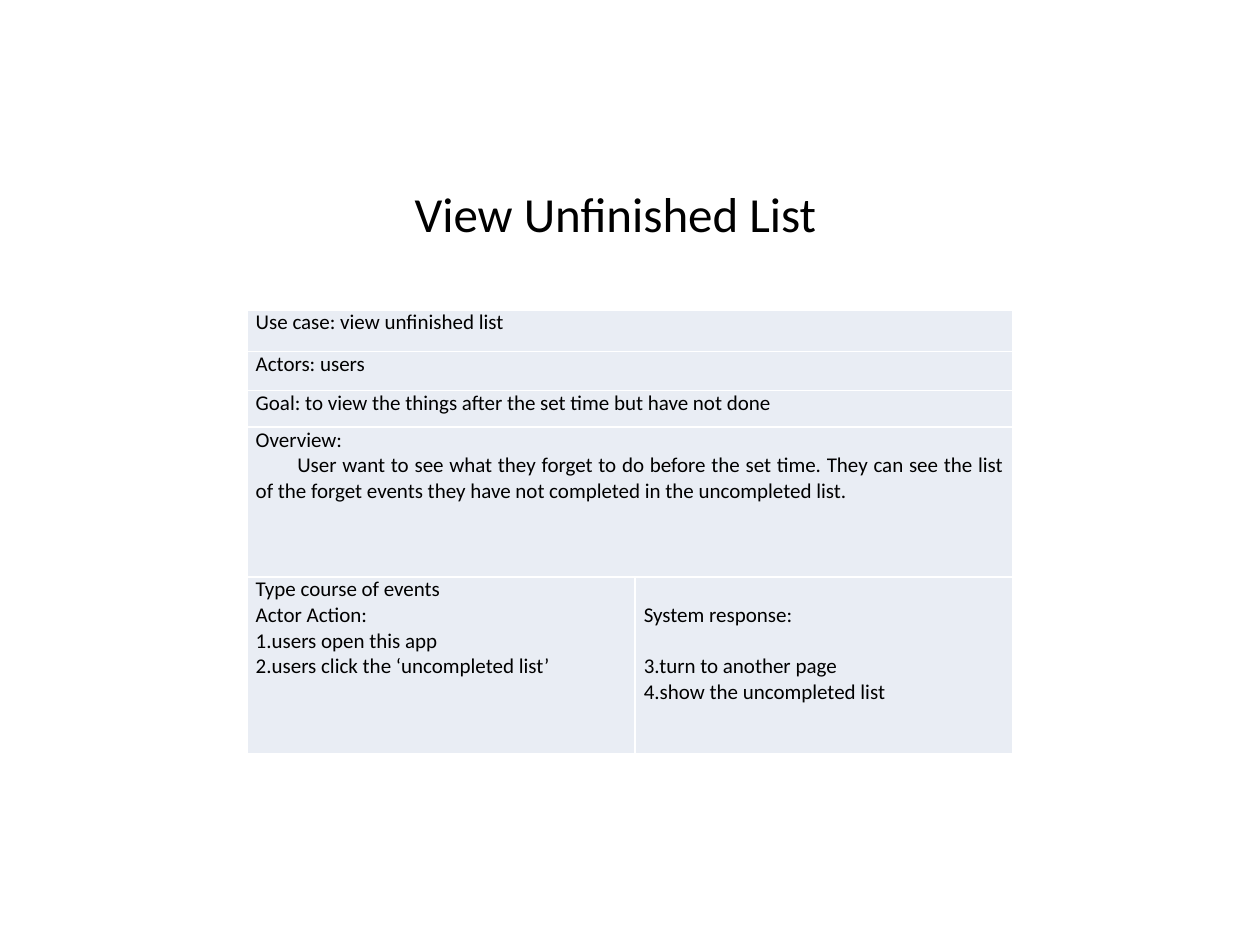
from pptx import Presentation
from pptx.dml.color import RGBColor as Rgb
from pptx.enum.text import MSO_ANCHOR as Anchor, PP_ALIGN as Align
from pptx.oxml.ns import qn
from pptx.util import Inches, Pt
from lxml.etree import SubElement

TITLE = "View Unfinished List"
# Each line: text, first-line indent (inches), blank lines' worth of space above.
ROWS = [
    [[("Use case: view unfinished list", 0, 0)]],
    [[("Actors: users", 0, 0)]],
    [[("Goal: to view the things after the set time but have not done", 0, 0)]],
    [[("Overview:", 0, 0),
      ("User want to see what they forget to do before the set time. They can see "
       "the list of the forget events they have not completed in the uncompleted "
       "list.", 0.33, 0)]],
    [[("Type course of events", 0, 0),
      ("Actor Action:", 0, 0),
      ("1.users open this app", 0, 0),
      ("2.users click the ‘uncompleted list’", 0, 0)],
     [("System response:", 0, 1),
      ("3.turn to another page", 0, 1),
      ("4.show the uncompleted list", 0, 0)]],
]
COLUMNS = [3.08, 3.0]
HEIGHTS = [0.33, 0.31, 0.29, 1.19, 1.4]
TABLE_AT = (1.96, 2.46)
TITLE_AT = (3.17, 1.41, 3.43, 0.57)
THEME = {"font": "Calibri", "title": 28, "body": 12, "line": 14.65, "border": 1,
         "ink": "000000", "cell": "E9EDF4", "rule": "FFFFFF"}


def add_span(para, text, size):
    """Add one run in the theme font and ink."""
    span = para.add_run()
    span.text = text
    span.font.name = THEME["font"]
    span.font.size = Pt(size)
    span.font.color.rgb = Rgb.from_string(THEME["ink"])


def style_cell(cell):
    """Give a cell its borders, fill and margins."""
    props = cell._tc.get_or_add_tcPr()
    for side in ("a:lnL", "a:lnR", "a:lnT", "a:lnB"):
        line = SubElement(props, qn(side), w=str(Pt(THEME["border"])))
        fill = SubElement(line, qn("a:solidFill"))
        SubElement(fill, qn("a:srgbClr"), val=THEME["rule"])
    cell.fill.solid()
    cell.fill.fore_color.rgb = Rgb.from_string(THEME["cell"])
    cell.margin_left = cell.margin_right = Inches(0.07)
    cell.margin_top = cell.margin_bottom = 0
    cell.vertical_anchor = Anchor.TOP


def fill_cell(cell, lines):
    """Write the lines of a cell; space above the first one is cell margin."""
    frame = cell.text_frame
    for index, (text, indent, gap) in enumerate(lines):
        para = frame.add_paragraph() if index else frame.paragraphs[0]
        para.alignment = Align.JUSTIFY
        space = Pt(THEME["line"] * gap)
        if index:
            para.space_before = space
        else:
            cell.margin_top = space
        if indent:
            para._p.get_or_add_pPr().set("indent", str(Inches(indent)))
        add_span(para, text, THEME["body"])


def add_use_case(page):
    """Add the use case table; a row with one cell spans all columns."""
    size = (sum(COLUMNS), sum(HEIGHTS))
    table = page.shapes.add_table(len(HEIGHTS), len(COLUMNS),
                                  *map(Inches, TABLE_AT + size)).table
    table.first_row = table.horz_banding = False
    for column, width in zip(table.columns, COLUMNS):
        column.width = Inches(width)
    for r, (height, cells) in enumerate(zip(HEIGHTS, ROWS)):
        table.rows[r].height = Inches(height)
        for c in range(len(COLUMNS)):
            style_cell(table.cell(r, c))
        if len(cells) == 1:
            table.cell(r, 0).merge(table.cell(r, len(COLUMNS) - 1))
        for c, lines in enumerate(cells):
            fill_cell(table.cell(r, c), lines)


def add_title(page):
    """Add the centred heading."""
    box = page.shapes.add_textbox(*map(Inches, TITLE_AT))
    box.text_frame.word_wrap = False
    para = box.text_frame.paragraphs[0]
    para.alignment = Align.CENTER
    add_span(para, TITLE, THEME["title"])


deck = Presentation()
deck.slide_width, deck.slide_height = Inches(10), Inches(7.5)
page = deck.slides.add_slide(deck.slide_layouts[6])
add_use_case(page)
add_title(page)
deck.save("out.pptx")
